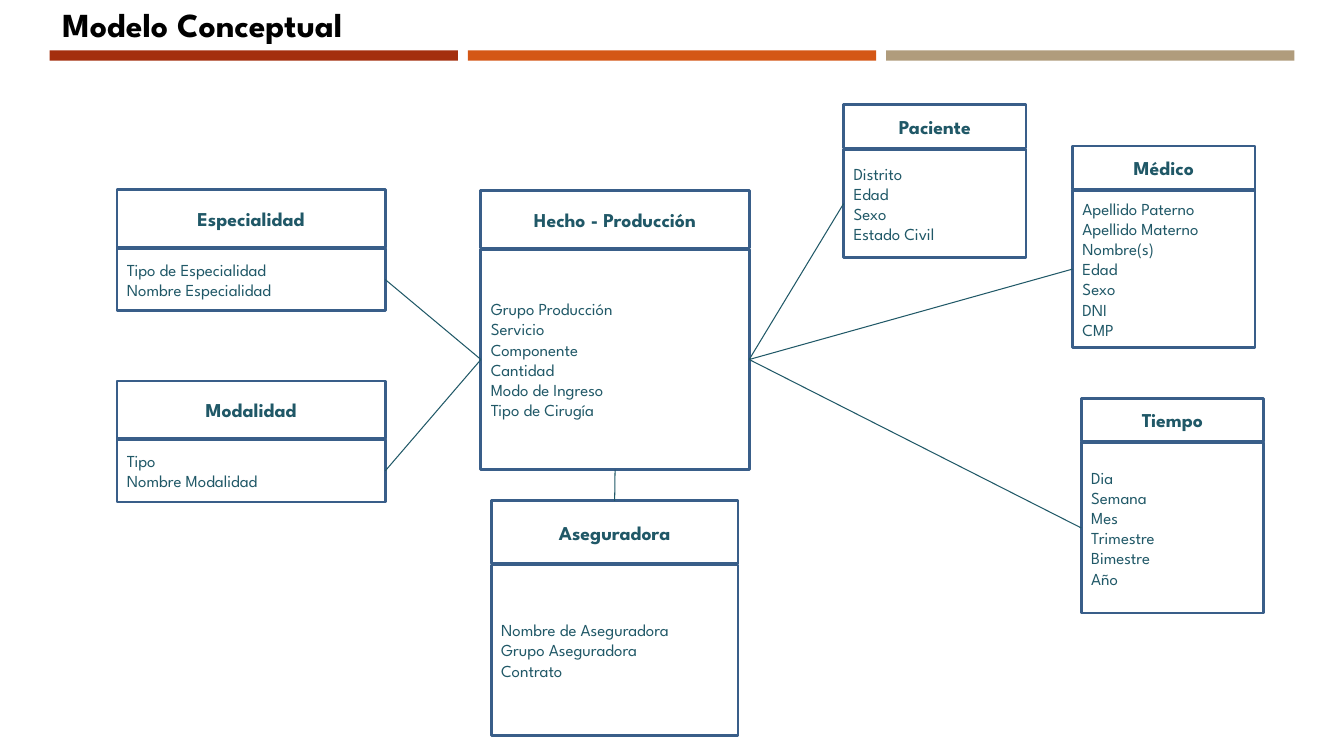
import pptx
import pptx.dml.color
import pptx.enum.shapes
import pptx.enum.text
import pptx.oxml
import pptx.util

Cm = pptx.util.Cm
Pt = pptx.util.Pt
Align = pptx.enum.text.PP_ALIGN
Anchor = pptx.enum.text.MSO_ANCHOR
TOP, LEFT, BOTTOM, RIGHT = range(4)


def color(value):
    """Return the colour of a hex string."""
    return pptx.dml.color.RGBColor.from_string(value)


def write(frame, text, size=12, ink="205867", bold=False, align=Align.LEFT,
          anchor=Anchor.MIDDLE, font="League Spartan"):
    """Fill a text frame with one paragraph per line of text."""
    frame.word_wrap = True
    frame.vertical_anchor = anchor
    for index, line in enumerate(text.split("\n")):
        para = frame.add_paragraph() if index else frame.paragraphs[0]
        para.alignment = align
        span = para.add_run()
        span.text = line
        span.font.name = font
        span.font.size = Pt(size)
        span.font.bold = bold
        span.font.color.rgb = color(ink)


class Diagram:
    """Hold the style and the current slide of the conceptual model."""

    border = "395E89"
    ink = "205867"
    paper = "FFFFFF"
    gap = 0.03

    def __init__(self, page):
        """Keep the slide to draw on."""
        self.page = page

    def title(self, text, left, top, width, height):
        """Add the slide title."""
        box = self.page.shapes.add_textbox(Cm(left), Cm(top), Cm(width), Cm(height))
        write(box.text_frame, text, size=24, ink="000000", bold=True, anchor=Anchor.TOP)

    def box(self, left, top, width, height, fill, border=None):
        """Add a plain rectangle with an optional border."""
        box = self.page.shapes.add_shape(
            pptx.enum.shapes.MSO_SHAPE.RECTANGLE, Cm(left), Cm(top), Cm(width), Cm(height))
        box.shadow.inherit = False
        box.fill.solid()
        box.fill.fore_color.rgb = color(fill)
        if border:
            box.line.color.rgb = color(border)
            box.line.width = Pt(2)
        else:
            box.line.fill.background()
        return box

    def entity(self, name, fields, left, top, width, header_height, body_height):
        """Add a named entity and return its header and body boxes."""
        body_top = top + header_height + self.gap
        body = self.box(left, body_top, width, body_height, self.paper, self.border)
        write(body.text_frame, fields, ink=self.ink)
        header = self.box(left, top, width, header_height, self.paper, self.border)
        write(header.text_frame, name, size=14, ink=self.ink, bold=True, align=Align.CENTER)
        return header, body

    def link(self, start, start_side, end, end_side):
        """Join two boxes with a thin line."""
        line = self.page.shapes.add_connector(
            pptx.enum.shapes.MSO_CONNECTOR.STRAIGHT, Cm(0), Cm(0), Cm(1), Cm(1))
        line.begin_connect(start, start_side)
        line.end_connect(end, end_side)
        line.line.color.rgb = color(self.ink)
        line.line.width = Pt(0.75)
        effects = pptx.oxml.parse_xml(
            '<a:effectLst xmlns:a="http://schemas.openxmlformats.org/drawingml/2006/main"/>')
        line._element.spPr.append(effects)


deck = pptx.Presentation()
deck.slide_width = Cm(33.87)
deck.slide_height = Cm(19.05)
diagram = Diagram(deck.slides.add_slide(deck.slide_layouts[6]))

for index, fill in enumerate(("A42F0E", "D45716", "B09C7C")):
    diagram.box(1.25 + index * 10.54, 1.27, 10.29, 0.26, fill)
diagram.title("Modelo Conceptual", 1.32, -0.03, 28.22, 1.27)

wide = {"width": 6.76, "header_height": 1.45}
narrow = {"width": 4.6, "header_height": 1.09}

fact_header, fact = diagram.entity(
    "Hecho - Producción",
    "Grupo Producción\nServicio\nComponente\nCantidad\nModo de Ingreso\nTipo de Cirugía",
    12.12, 4.8, body_height=5.56, **wide)

left_entities = (
    ("Especialidad", "Tipo de Especialidad\nNombre Especialidad", 4.78),
    ("Modalidad", "Tipo\nNombre Modalidad", 9.6),
)
for name, fields, top in left_entities:
    header, body = diagram.entity(name, fields, 2.95, top, body_height=1.57, **wide)
    diagram.link(body, RIGHT, fact, LEFT)

right_entities = (
    ("Paciente", "Distrito\nEdad\nSexo\nEstado Civil", 21.26, 2.64, 2.74),
    ("Médico", "Apellido Paterno\nApellido Materno\nNombre(s)\nEdad\nSexo\nDNI\nCMP",
     27.03, 3.68, 3.96),
    ("Tiempo", "Dia\nSemana\nMes\nTrimestre\nBimestre\nAño", 27.25, 10.04, 4.29),
)
for name, fields, left, top, body_height in right_entities:
    header, body = diagram.entity(name, fields, left, top, body_height=body_height, **narrow)
    diagram.link(fact, RIGHT, body, LEFT)

insurer_header, insurer = diagram.entity(
    "Aseguradora", "Nombre de Aseguradora\nGrupo Aseguradora\nContrato",
    12.38, 12.62, width=6.22, header_height=1.59, body_height=4.29)
diagram.link(fact, BOTTOM, insurer_header, TOP)

deck.save("out.pptx")
